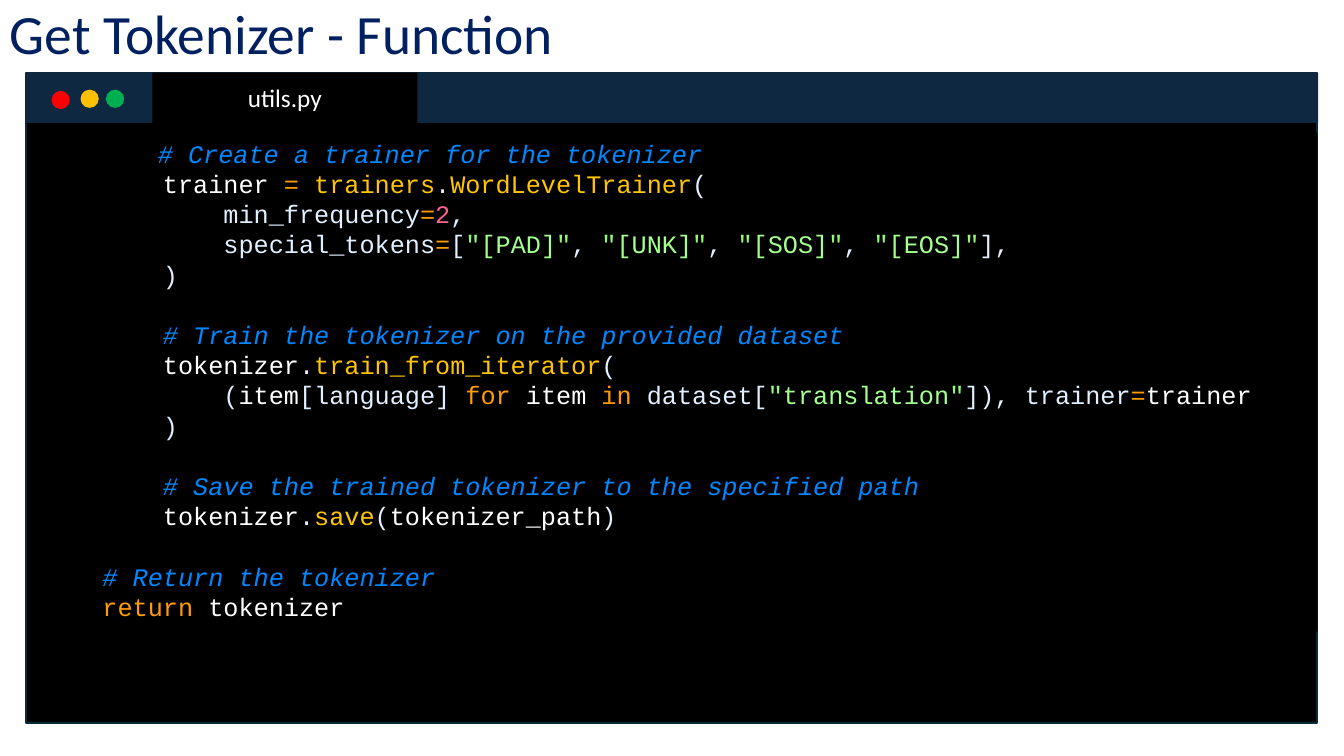
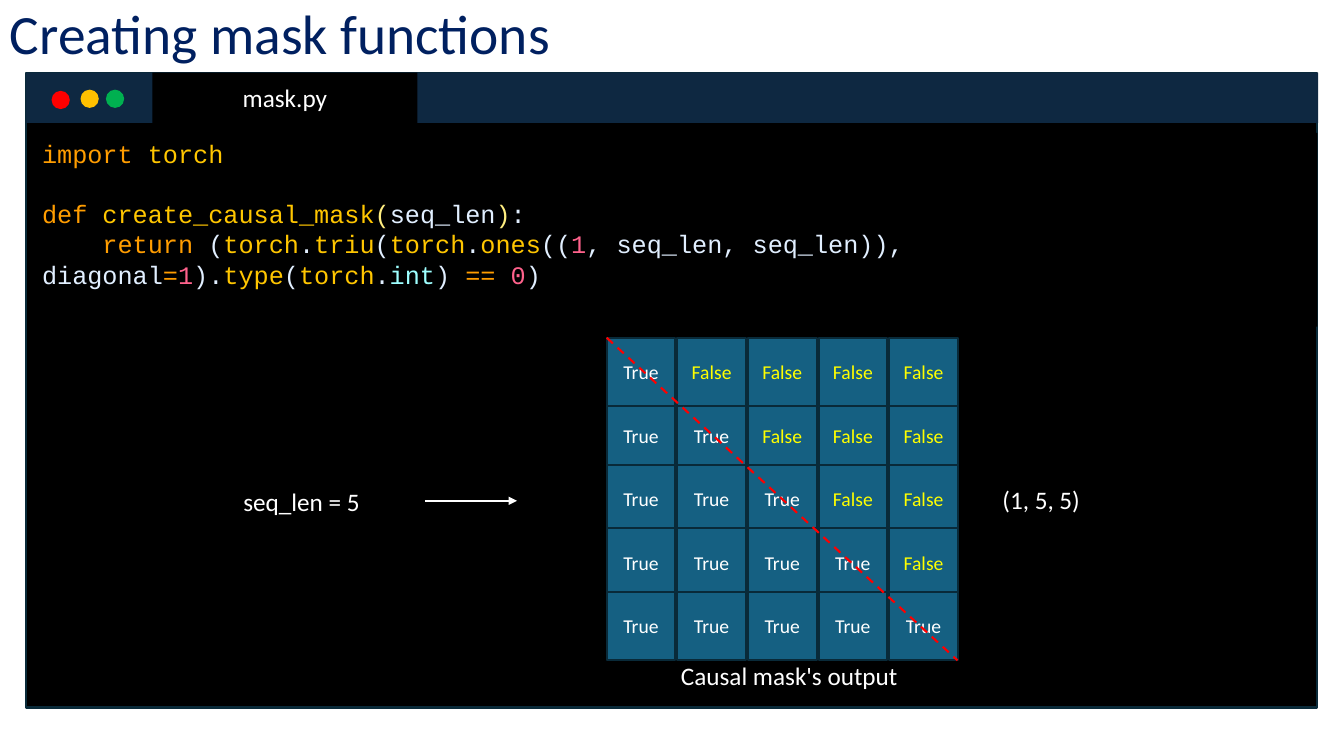
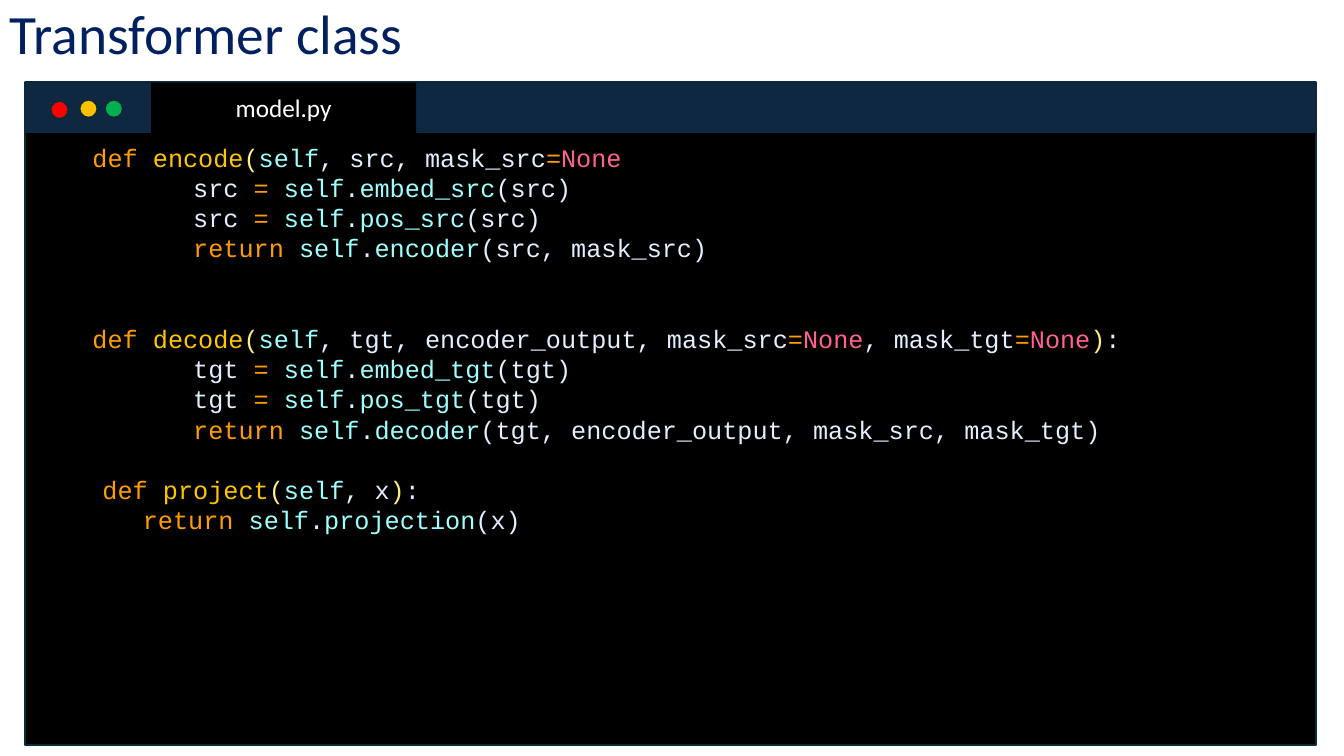
from dataclasses import dataclass

from lxml.etree import SubElement
from pptx import Presentation
from pptx.dml.color import RGBColor
from pptx.enum.dml import MSO_LINE
from pptx.enum.shapes import MSO_CONNECTOR, MSO_SHAPE
from pptx.enum.text import MSO_ANCHOR, PP_ALIGN
from pptx.oxml.ns import qn
from pptx.util import Cm, Pt

BLACK = RGBColor(0x00, 0x00, 0x00)
WHITE = RGBColor(0xFF, 0xFF, 0xFF)
NAVY = RGBColor(0x00, 0x20, 0x60)
BAR = RGBColor(0x0E, 0x28, 0x41)
BORDER = RGBColor(0x09, 0x2A, 0x39)
RED = RGBColor(0xFF, 0x00, 0x00)
AMBER = RGBColor(0xFF, 0xC0, 0x00)
GREEN = RGBColor(0x00, 0xB0, 0x50)
CELL = RGBColor(0x15, 0x60, 0x82)
YELLOW = RGBColor(0xFF, 0xFF, 0x00)

COMMENT = RGBColor(0x00, 0x88, 0xFF)
KEYWORD = RGBColor(0xFF, 0x9D, 0x00)
NAME = RGBColor(0xFF, 0xC6, 0x00)
PLAIN = RGBColor(0xE1, 0xEF, 0xFF)
BRACKET = RGBColor(0xFF, 0xEE, 0x80)
NUMBER = RGBColor(0xFF, 0x62, 0x8C)
MEMBER = RGBColor(0x9E, 0xFF, 0xFF)
QUOTE = RGBColor(0x92, 0xFC, 0x79)
STRING = RGBColor(0xA5, 0xFF, 0x90)

TEXT_FONT = "Calibri"
CODE_FONT = "Courier New"
CODE_LINE_HEIGHT = 21.6
METHOD_INDENT = 1.27
BODY_INDENT = 3.81


@dataclass
class CodeLine:
    runs: list
    blank_before: int = 0
    indent: float = 0


def add_run(paragraph, text, color, size, font_name=TEXT_FONT, italic=False):
    run = paragraph.add_run()
    run.text = text
    run.font.name = font_name
    run.font.size = Pt(size)
    run.font.color.rgb = color
    run.font.italic = italic


def add_box(slide, kind, left, top, width, height, fill, border=None):
    shape = slide.shapes.add_shape(kind, Cm(left), Cm(top), Cm(width), Cm(height))
    shape.shadow.inherit = False
    shape.fill.solid()
    shape.fill.fore_color.rgb = fill
    if border is None:
        shape.line.fill.background()
    else:
        shape.line.color.rgb = border
        shape.line.width = Pt(1.5)
    return shape


def write_centred(shape, text, color, size):
    frame = shape.text_frame
    frame.word_wrap = True
    frame.vertical_anchor = MSO_ANCHOR.MIDDLE
    frame.paragraphs[0].alignment = PP_ALIGN.CENTER
    add_run(frame.paragraphs[0], text, color, size)


def add_label(slide, text, left, top, width):
    label = slide.shapes.add_textbox(Cm(left), Cm(top), Cm(width), Cm(1.02))
    write_centred(label, text, WHITE, 18)


def add_straight_line(slide, start, end, color):
    line = slide.shapes.add_connector(
        MSO_CONNECTOR.STRAIGHT, *(Cm(value) for value in (*start, *end)))
    line.line.color.rgb = color
    line.line.width = Pt(1.5)
    SubElement(line._element.spPr, qn("a:effectLst"))
    return line


def add_title(slide, text):
    title = slide.shapes.add_textbox(Cm(0), Cm(0.23), Cm(24), Cm(1.6))
    frame = title.text_frame
    frame.word_wrap = True
    frame.vertical_anchor = MSO_ANCHOR.MIDDLE
    frame.paragraphs[0].line_spacing = 0.7
    add_run(frame.paragraphs[0], text, NAVY, 39.6)


def add_window(slide, file_name, left, top, height, dot_border=None):
    rectangle = MSO_SHAPE.RECTANGLE
    add_box(slide, rectangle, left, top, 32.54, height, BLACK, BORDER)
    add_box(slide, rectangle, left, top, 32.56, 1.27, BAR)
    tab = add_box(slide, rectangle, left + 3.18, top, 6.68, 1.27, BLACK)
    write_centred(tab, file_name, WHITE, 18)
    for across, down, color in ((0.64, 0.46, RED), (1.37, 0.43, AMBER), (2.01, 0.43, GREEN)):
        add_box(slide, MSO_SHAPE.OVAL, left + across, top + down, 0.46, 0.46, color, dot_border)


def add_code(slide, lines, top, width, height):
    box = add_box(slide, MSO_SHAPE.RECTANGLE, 0.81, top, width, height, BLACK)
    frame = box.text_frame
    frame.word_wrap = True
    frame.vertical_anchor = MSO_ANCHOR.TOP
    for index, line in enumerate(lines):
        paragraph = frame.add_paragraph() if index else frame.paragraphs[0]
        paragraph.alignment = PP_ALIGN.LEFT
        paragraph.line_spacing = Pt(CODE_LINE_HEIGHT)
        if line.blank_before:
            paragraph.space_before = Pt(CODE_LINE_HEIGHT * line.blank_before)
        if line.indent:
            paragraph._p.get_or_add_pPr().set("marL", str(Cm(line.indent)))
        for text, color in line.runs:
            add_run(paragraph, text, color, 18, CODE_FONT, color == COMMENT)


def quoted(text):
    return [('"', QUOTE), (text, STRING), ('"', QUOTE)]


def special_tokens():
    runs = [("            special_tokens", PLAIN), ("=", KEYWORD), ("[", PLAIN)]
    for index, token in enumerate(("[PAD]", "[UNK]", "[SOS]", "[EOS]")):
        if index:
            runs.append((", ", PLAIN))
        runs += quoted(token)
    return runs + [("],", PLAIN)]


def tokenizer_code():
    closing = CodeLine([("        )", PLAIN)])
    return [
        CodeLine([("# Create a trainer for the tokenizer", COMMENT)], indent=2.92),
        CodeLine([("        trainer ", WHITE), ("= ", KEYWORD), ("trainers", NAME),
                  (".", PLAIN), ("WordLevelTrainer", NAME), ("(", PLAIN)]),
        CodeLine([("            min_frequency", PLAIN), ("=", KEYWORD), ("2", NUMBER),
                  (",", PLAIN)]),
        CodeLine(special_tokens()),
        closing,
        CodeLine([("        # Train the tokenizer on the provided dataset", COMMENT)], 1),
        CodeLine([("        tokenizer", WHITE), (".", PLAIN), ("train_from_iterator", NAME),
                  ("(", PLAIN)]),
        CodeLine([("            (", PLAIN), ("item", WHITE), ("[language] ", PLAIN),
                  ("for ", KEYWORD), ("item ", WHITE), ("in ", KEYWORD), ("dataset[", PLAIN),
                  *quoted("translation"), ("]), trainer", PLAIN), ("=", KEYWORD),
                  ("trainer", WHITE)]),
        closing,
        CodeLine([("        # Save the trained tokenizer to the specified path", COMMENT)], 1),
        CodeLine([("        tokenizer", WHITE), (".", PLAIN), ("save", NAME), ("(", PLAIN),
                  ("tokenizer_path", WHITE), (")", PLAIN)]),
        CodeLine([("    # Return the tokenizer", COMMENT)], 1),
        CodeLine([("    return", KEYWORD), (" tokenizer", WHITE)]),
    ]


def mask_code():
    return [
        CodeLine([("import ", KEYWORD), ("torch", NAME)]),
        CodeLine([("def ", KEYWORD), ("create_causal_mask", NAME), ("(", BRACKET),
                  ("seq_len", PLAIN), (")", BRACKET), (":", PLAIN)], 1),
        CodeLine([("    return ", KEYWORD), ("(", PLAIN), ("torch", NAME), (".", PLAIN),
                  ("triu", NAME), ("(", PLAIN), ("torch", NAME), (".", PLAIN),
                  ("ones", NAME), ("((", PLAIN), ("1", NUMBER),
                  (", seq_len, seq_len)), diagonal", PLAIN), ("=", KEYWORD), ("1", NUMBER),
                  (").", PLAIN), ("type", NAME), ("(", PLAIN), ("torch", NAME),
                  (".", PLAIN), ("int", MEMBER), (") ", PLAIN), ("== ", KEYWORD),
                  ("0", NUMBER), (")", PLAIN)]),
    ]


def method_head(name, arguments):
    return [("def ", KEYWORD), (name, NAME), ("(", BRACKET), ("self", MEMBER),
            (arguments, PLAIN)]


def self_call(member, arguments):
    return [("self", MEMBER), (".", PLAIN), (member, MEMBER), (arguments, PLAIN)]


def method_body(variable, coder, arguments):
    lines = [
        CodeLine([(f"{variable} ", PLAIN), ("= ", KEYWORD),
                  *self_call(f"{layer}_{variable}", f"({variable})")], indent=BODY_INDENT)
        for layer in ("embed", "pos")
    ]
    result = [("return ", KEYWORD), *self_call(coder, arguments)]
    return lines + [CodeLine(result, indent=BODY_INDENT)]


def transformer_code():
    none_default = [("=", KEYWORD), ("None", NUMBER)]
    head_end = [(")", BRACKET), (":", PLAIN)]
    return [
        CodeLine(method_head("encode", ", src, mask_src") + none_default,
                 indent=METHOD_INDENT),
        *method_body("src", "encoder", "(src, mask_src)"),
        CodeLine([*method_head("decode", ", tgt, encoder_output, mask_src"), *none_default,
                  (", mask_tgt", PLAIN), *none_default, *head_end], 2, METHOD_INDENT),
        *method_body("tgt", "decoder", "(tgt, encoder_output, mask_src, mask_tgt)"),
        CodeLine([("    ", MEMBER), *method_head("project", ", x"), *head_end], 1),
        CodeLine([("return ", KEYWORD), *self_call("projection", "(x)")], indent=2.54),
    ]


def add_mask_grid(slide, left, top):
    for row in (1, 2, 3, 4, 0):
        for column in range(5):
            cell = add_box(slide, MSO_SHAPE.RECTANGLE, left + 1.78 * column,
                           top + 1.6 * row, 1.73, 1.73, CELL, BORDER)
            visible = column <= row
            write_centred(cell, str(visible), WHITE if visible else YELLOW, 14)
    diagonal = add_straight_line(slide, (left, top), (left + 8.84, top + 8.13), RED)
    diagonal.line.dash_style = MSO_LINE.DASH


def add_mask_example(slide):
    add_label(slide, "seq_len = 5", 5.49, 12.12, 4.22)
    arrow = add_straight_line(slide, (10.72, 12.62), (13.03, 12.62), WHITE)
    SubElement(arrow.line._get_or_add_ln(), qn("a:tailEnd")).set("type", "triangle")
    add_label(slide, "(1, 5, 5)", 24.13, 12.07, 4.22)
    add_label(slide, "Causal mask's output", 16.26, 16.51, 7.26)
    add_mask_grid(slide, 15.29, 8.51)


def add_titled_slide(presentation, title):
    slide = presentation.slides.add_slide(presentation.slide_layouts[6])
    add_title(slide, title)
    return slide


def main():
    presentation = Presentation()
    presentation.slide_width = Cm(33.87)
    presentation.slide_height = Cm(19.05)

    slide = add_titled_slide(presentation, "Get Tokenizer - Function")
    add_window(slide, "utils.py", 0.66, 1.83, 16.38)
    add_code(slide, tokenizer_code(), 3.35, 32.39, 12.57)

    slide = add_titled_slide(presentation, "Creating mask functions")
    add_window(slide, "mask.py", 0.66, 1.83, 16)
    add_code(slide, mask_code(), 3.35, 32.39, 4.88)
    add_mask_example(slide)

    slide = add_titled_slide(presentation, "Transformer class")
    add_window(slide, "model.py", 0.63, 2.08, 16.69, BORDER)
    add_code(slide, transformer_code(), 3.45, 32.23, 10.26)

    presentation.save("out.pptx")


if __name__ == "__main__":
    main()
